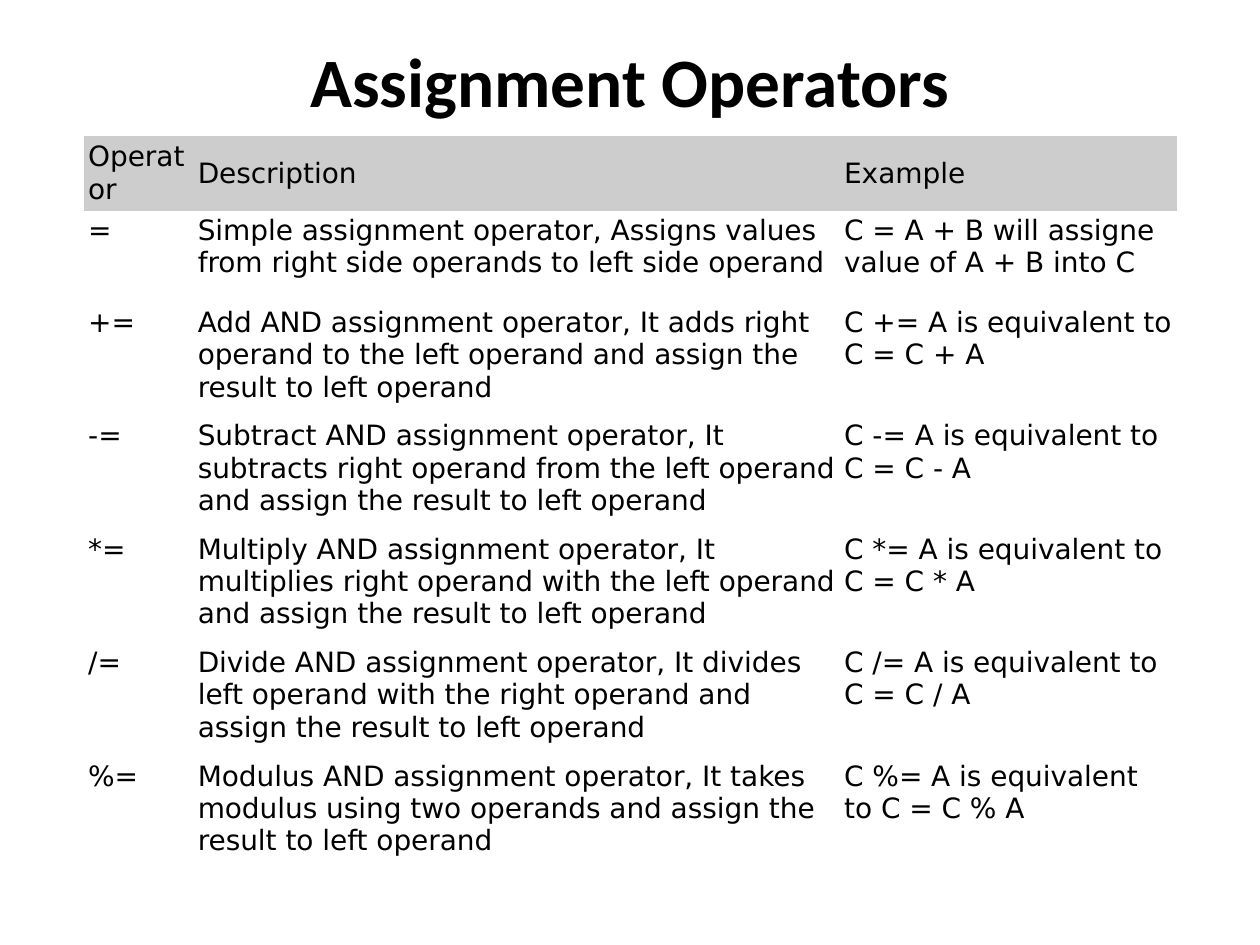
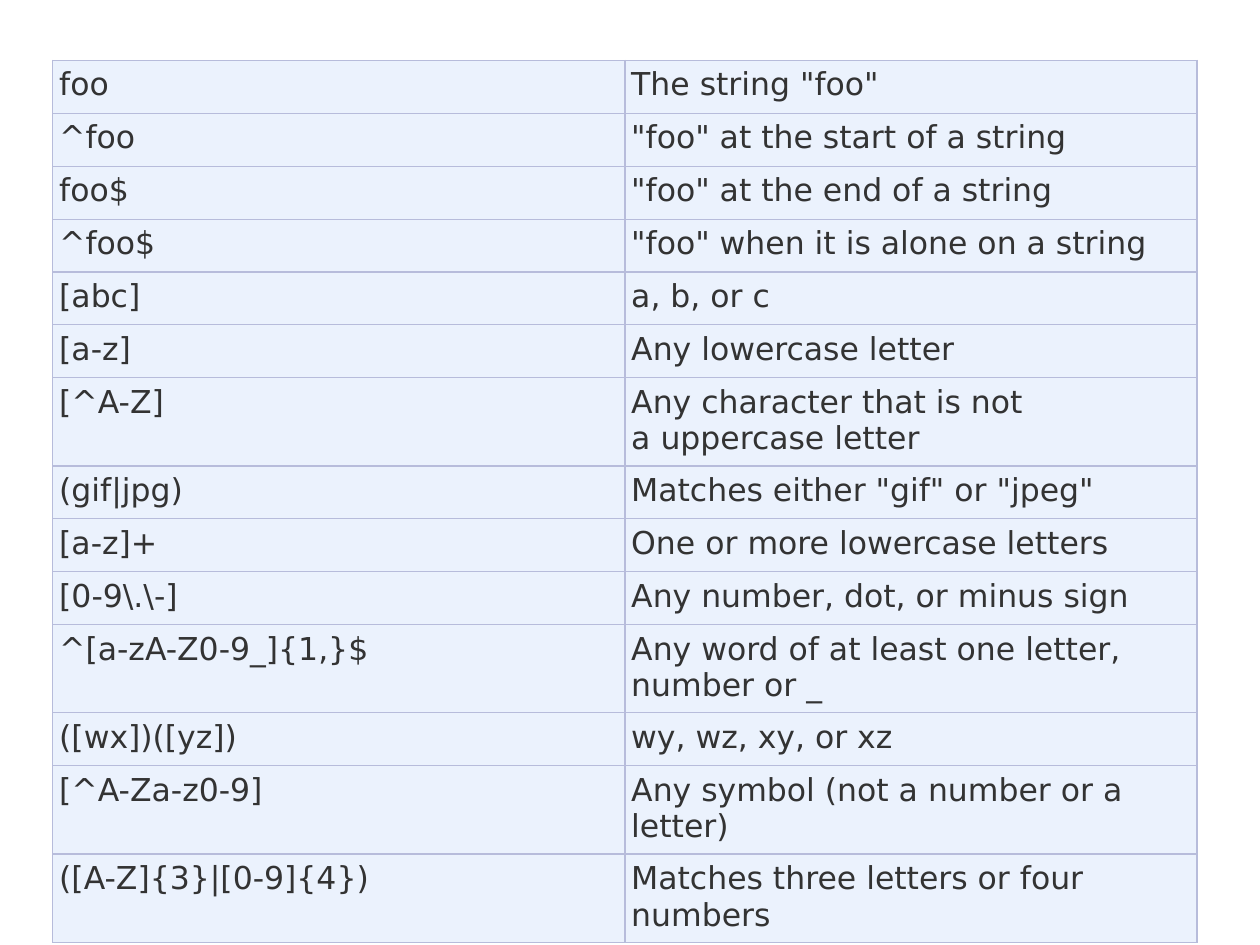
"""Two reference slides: assignment operators and regular expression patterns."""
from dataclasses import dataclass

import pptx
import pptx.dml.color
import pptx.enum.text
import pptx.oxml
import pptx.oxml.ns
import pptx.util
from pptx.util import Inches

ANCHOR = pptx.enum.text.MSO_ANCHOR
ALIGN = pptx.enum.text.PP_ALIGN


@dataclass(frozen=True)
class Theme:
    """Colours, fonts and type sizes of the deck."""
    title_font: str = "Calibri"
    body_font: str = "DejaVu Sans"
    title_size: float = 39.6
    operator_size: float = 16
    pattern_size: float = 18
    ink: str = "000000"
    soft_ink: str = "333333"
    paper: str = "FFFFFF"
    header_fill: str = "CDCDCD"
    pattern_fill: str = "EBF2FD"
    grid_line: str = "B7BCDB"
    grid_width: float = 0.75


def apply_format(target, values):
    """Set each named attribute of the target."""
    for name, value in values.items():
        setattr(target, name, value)


def rgb(code):
    """Turn a hex code into a colour value."""
    return pptx.dml.color.RGBColor.from_string(code)


class Deck:
    """Holds the theme and the current slide, and draws on it."""

    def __init__(self, theme):
        """Start an empty deck of 10 by 7.5 inch slides."""
        self.theme = theme
        self.presentation = pptx.Presentation()
        apply_format(self.presentation, {"slide_width": Inches(10),
                                         "slide_height": Inches(7.5)})
        self.slide = None

    def new_slide(self):
        """Add a blank slide and make it current."""
        blank = self.presentation.slide_layouts[6]
        self.slide = self.presentation.slides.add_slide(blank)

    def add_text(self, paragraph, text, color, **font):
        """Add one run with the given font values."""
        run = paragraph.add_run()
        run.text = text
        apply_format(run.font, font)
        run.font.color.rgb = rgb(color)

    def title(self, text):
        """Add the centred slide title."""
        heading = self.slide.shapes.add_textbox(
            Inches(0.5), Inches(0.3), Inches(9), Inches(1.25)).text_frame
        apply_format(heading, {"word_wrap": True, "margin_top": 0,
                               "vertical_anchor": ANCHOR.TOP})
        heading.paragraphs[0].alignment = ALIGN.CENTER
        self.add_text(heading.paragraphs[0], text, self.theme.ink,
                      name=self.theme.title_font, bold=True,
                      size=pptx.util.Pt(self.theme.title_size))

    def borders(self, cell, color):
        """Draw all four cell borders, or clear them when color is None."""
        properties = cell._tc.get_or_add_tcPr()
        width = pptx.util.Pt(self.theme.grid_width)
        paint = ("<a:noFill/>" if color is None else
                 f'<a:solidFill><a:srgbClr val="{color}"/></a:solidFill>')
        for side in "LRTB":
            properties.append(pptx.oxml.parse_xml(
                f'<a:ln{side} {pptx.oxml.ns.nsdecls("a")} w="{width}">'
                f"{paint}</a:ln{side}>"))

    def table(self, left, top, widths, heights, rows, size, color, fill,
              inset, header_fill=None, line=None):
        """Add a table; a header fill also centres the first row vertically."""
        grid = self.slide.shapes.add_table(
            len(rows), len(widths), Inches(left), Inches(top),
            Inches(sum(widths)), Inches(sum(heights))).table
        apply_format(grid, {"first_row": False, "horz_banding": False})
        for column, width in zip(grid.columns, widths):
            column.width = Inches(width)
        for row, height in zip(grid.rows, heights):
            row.height = Inches(height)
        margins = {f"margin_{side}": Inches(inset)
                   for side in ("left", "right", "top", "bottom")}
        for index, texts in enumerate(rows):
            is_header = index == 0 and header_fill is not None
            anchor = ANCHOR.MIDDLE if is_header else ANCHOR.TOP
            for column, text in enumerate(texts):
                cell = grid.cell(index, column)
                apply_format(cell, margins | {"vertical_anchor": anchor})
                self.borders(cell, line)
                cell.fill.solid()
                cell.fill.fore_color.rgb = rgb(header_fill if is_header else fill)
                self.add_text(cell.text_frame.paragraphs[0], text, color,
                              name=self.theme.body_font, bold=False,
                              size=pptx.util.Pt(size))


COMPOUND_OPERATORS = [
    ("+", "Add AND assignment operator, It adds right operand to the left "
          "operand and assign the result to left operand"),
    ("-", "Subtract AND assignment operator, It subtracts right operand from "
          "the left operand and assign the result to left operand"),
    ("*", "Multiply AND assignment operator, It multiplies right operand with "
          "the left operand and assign the result to left operand"),
    ("/", "Divide AND assignment operator, It divides left operand with the "
          "right operand and assign the result to left operand"),
    ("%", "Modulus AND assignment operator, It takes modulus using two "
          "operands and assign the result to left operand"),
]

OPERATORS = [
    ("Operator", "Description", "Example"),
    ("=", "Simple assignment operator, Assigns values from right side "
          "operands to left side operand",
     "C = A + B will assigne value of A + B into C"),
] + [(f"{sign}=", meaning, f"C {sign}= A is equivalent to C = C {sign} A")
     for sign, meaning in COMPOUND_OPERATORS]

PATTERNS = [
    ("foo", 'The string "foo"'),
    ("^foo", '"foo" at the start of a string'),
    ("foo$", '"foo" at the end of a string'),
    ("^foo$", '"foo" when it is alone on a string'),
    ("[abc]", "a, b, or c"),
    ("[a-z]", "Any lowercase letter"),
    ("[^A-Z]", "Any character that is not a\u00a0uppercase letter"),
    ("(gif|jpg)", 'Matches either "gif" or "jpeg"'),
    ("[a-z]+", "One or more lowercase letters"),
    (r"[0-9\.\-]", "Any number, dot, or minus sign"),
    ("^[a-zA-Z0-9_]{1,}$", "Any word of at least one letter, number or _"),
    ("([wx])([yz])", "wy, wz, xy, or xz"),
    ("[^A-Za-z0-9]", "Any symbol (not a number or a letter)"),
    ("([A-Z]{3}|[0-9]{4})", "Matches three letters or four numbers"),
]


def operators_slide(deck):
    """Build the slide on assignment operators."""
    theme = deck.theme
    deck.new_slide()
    deck.title("Assignment Operators")
    deck.table(0.67, 1.08, [0.87, 5.13, 2.67],
               [0.4, 0.73] + [0.9] * len(COMPOUND_OPERATORS), OPERATORS,
               theme.operator_size, theme.ink, theme.paper, inset=0.03,
               header_fill=theme.header_fill)


def patterns_slide(deck):
    """Build the slide on regular expression patterns."""
    theme = deck.theme
    deck.new_slide()
    deck.table(0.42, 0.48, [4.54] * 2, [0.42] * len(PATTERNS), PATTERNS,
               theme.pattern_size, theme.soft_ink, theme.pattern_fill,
               inset=0.05, line=theme.grid_line)


def main():
    """Build both slides and save the deck."""
    deck = Deck(Theme())
    operators_slide(deck)
    patterns_slide(deck)
    deck.presentation.save("out.pptx")


main()
